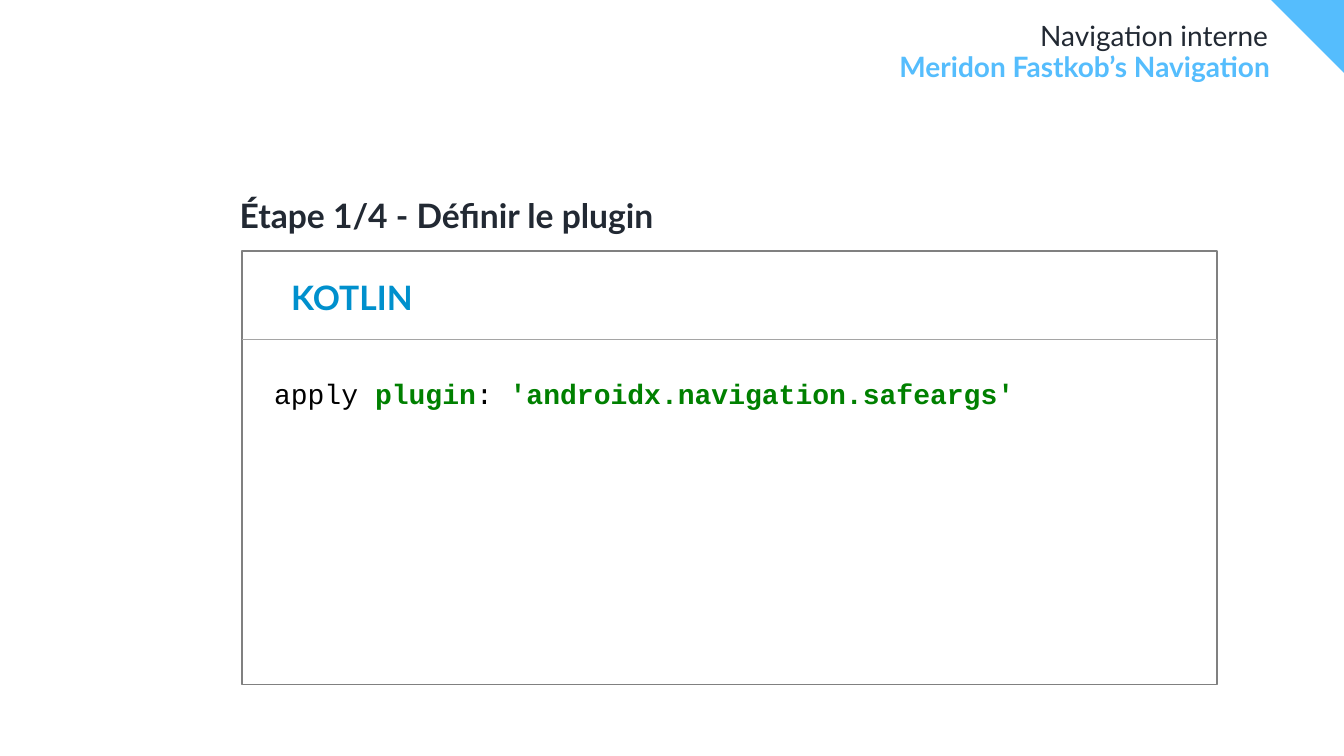
import pptx
import pptx.util
import pptx.dml.color
import pptx.enum.shapes
import pptx.enum.text
import pptx.oxml.ns
import lxml.etree

Pt = pptx.util.Pt
Align = pptx.enum.text.PP_ALIGN
Anchor = pptx.enum.text.MSO_ANCHOR
Kind = pptx.enum.shapes.MSO_SHAPE

COLORS = {
    "ink": "222933", "sky": "55BDFD", "blue": "0090CD", "white": "FFFFFF",
    "frame": "808080", "rule": "A5A5A5", "black": "000000", "green": "008000",
}
SIZE = (960, 540)
CORNER = (907.2, -0.72, 54)
PANEL = (172.8, 179.28, 696.6, 309.6)
HEAD = 63.36
CODE_BOX = (188.64, 264.96, 563.04, 31.68)

TITLE = [("Navigation interne", "ink", False)]
TOPIC = [("Meridon Fastkob’s Navigation", "sky", True)]
STEP = [("Étape 1/4 - Définir le plugin", "ink", True)]
LABEL = [("KOTLIN", "blue", True)]
CODE = [
    ("apply ", "black", False),
    ("plugin", "green", True),
    (": ", "black", False),
    ("'androidx.navigation.safeargs'", "green", True),
]
TEXTS = [
    (TITLE, (26.64, 15.84, 879.12, 22.32), 20, Align.RIGHT, 0.9, 0, Anchor.TOP),
    (STEP, (164.16, 138.96, 743.04, 309.6), 24, Align.LEFT, 0.9, 1, Anchor.TOP),
    (TOPIC, (26.64, 38.16, 880.56, 30.96), 20, Align.RIGHT, 0.9, 0, Anchor.TOP),
]
TAG = (LABEL, (200.88, 180.72, 105.12, 49.68), 24, Align.LEFT, 1.0, 1, Anchor.BOTTOM)


def color(name):
    return pptx.dml.color.RGBColor.from_string(COLORS[name])


def paint(shape, fill, line=None):
    shape.shadow.inherit = False
    shape.fill.solid()
    shape.fill.fore_color.rgb = color(fill)
    if line:
        shape.line.color.rgb = color(line)
        shape.line.width = Pt(1)
    else:
        shape.line.fill.background()


def write(shape, runs, size, font, align, space, inset, anchor):
    frame = shape.text_frame
    frame.word_wrap = True
    frame.vertical_anchor = anchor
    frame.margin_left = frame.margin_right = Pt(7.2 * inset)
    frame.margin_top = frame.margin_bottom = Pt(3.6 * inset)
    para = frame.paragraphs[0]
    para.alignment = align
    para.line_spacing = space
    for text, shade, bold in runs:
        run = para.add_run()
        run.text = text
        run.font.name = font
        run.font.size = Pt(size)
        run.font.bold = bold
        run.font.color.rgb = color(shade)


def label(shapes, runs, box, size, align, space, inset, anchor):
    shape = shapes.add_textbox(*map(Pt, box))
    write(shape, runs, size, "Lato", align, space, inset, anchor)


def main():
    deck = pptx.Presentation()
    deck.slide_width, deck.slide_height = map(Pt, SIZE)
    shapes = deck.slides.add_slide(deck.slide_layouts[6]).shapes

    left, top, side = CORNER
    pen = shapes.build_freeform(Pt(left), Pt(top))
    pen.add_line_segments(
        [(Pt(left + side), Pt(top)), (Pt(left + side), Pt(top + side))], close=True)
    paint(pen.convert_to_shape(), "sky")

    for item in TEXTS:
        label(shapes, *item)

    group = shapes.add_group_shape().shapes
    paint(group.add_shape(Kind.RECTANGLE, *map(Pt, PANEL)), "white", "frame")
    left, top, width, height = PANEL
    rule = group.add_connector(
        pptx.enum.shapes.MSO_CONNECTOR.STRAIGHT,
        Pt(left), Pt(top + HEAD), Pt(left + width), Pt(top + HEAD))
    rule.line.color.rgb = color("rule")
    rule.line.width = Pt(0.5)
    lxml.etree.SubElement(
        rule._element.spPr, pptx.oxml.ns.qn("a:effectLst"))
    label(group, *TAG)

    code = shapes.add_shape(Kind.RECTANGLE, *map(Pt, CODE_BOX))
    paint(code, "white")
    write(code, CODE, 20, "Courier New", Align.LEFT, 1.0, 1, Anchor.MIDDLE)
    code.text_frame.auto_size = pptx.enum.text.MSO_AUTO_SIZE.SHAPE_TO_FIT_TEXT

    deck.save("out.pptx")


if __name__ == "__main__":
    main()
